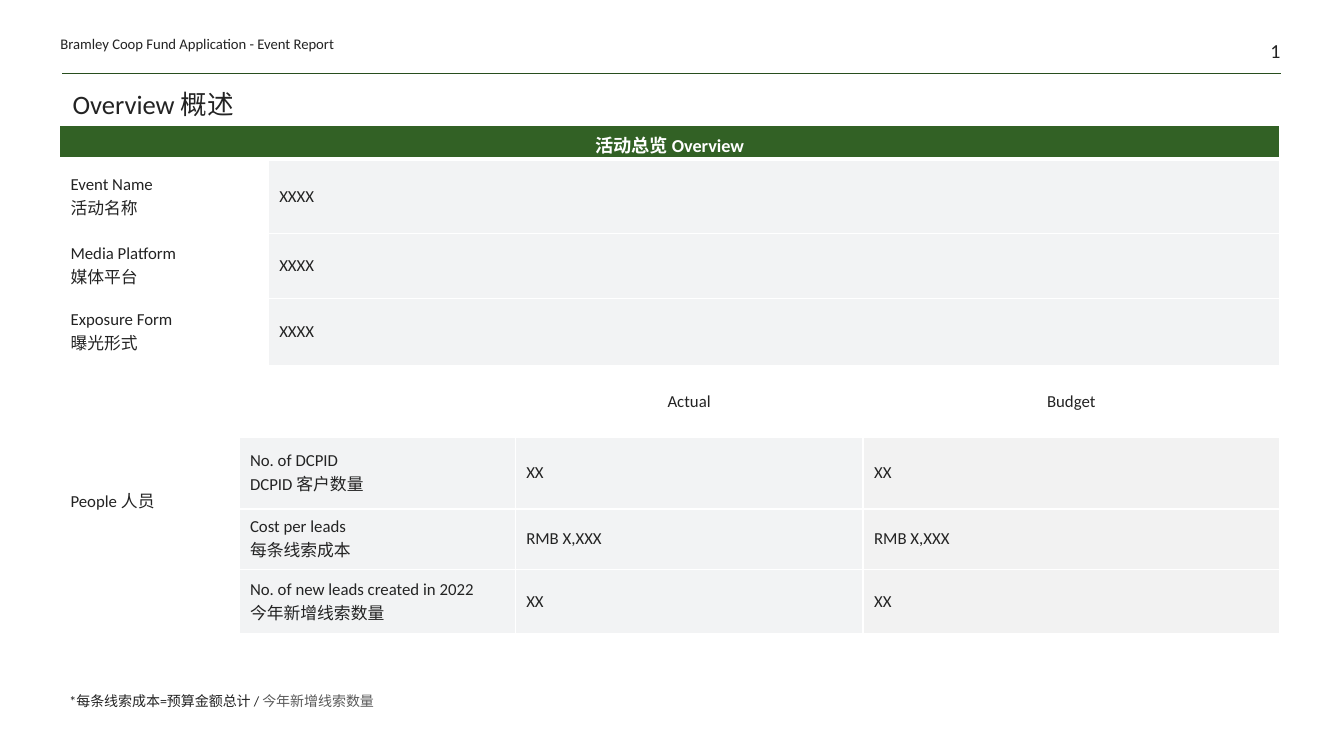
import pptx
import pptx.util
import pptx.dml.color
import pptx.enum.text
import pptx.enum.shapes
import pptx.oxml
import pptx.oxml.ns
import lxml.etree

Inches = pptx.util.Inches
Pt = pptx.util.Pt
ALIGN = pptx.enum.text.PP_ALIGN
ANCHOR = pptx.enum.text.MSO_ANCHOR
INK, GREY, WHITE = "232323", "5A5A5A", "FFFFFF"
GREEN, RULE, PALE, PALE_BUDGET = "326125", "284E1E", "F2F3F4", "F2F2F2"


def colour(value):
    return pptx.dml.color.RGBColor.from_string(value)


def add_span(para, text, size, ink=INK, bold=False):
    span = para.add_run()
    span.text = text
    span.font.name = "Calibri"
    span.font.size = Pt(size)
    span.font.bold = bold
    span.font.color.rgb = colour(ink)


def add_text(page, box, spans, size, align=ALIGN.LEFT, anchor=ANCHOR.BOTTOM, inset=(0, 0)):
    frame = page.shapes.add_textbox(*map(Inches, box)).text_frame
    frame.word_wrap = True
    frame.vertical_anchor = anchor
    frame.margin_left = frame.margin_right = Inches(inset[0])
    frame.margin_top = frame.margin_bottom = Inches(inset[1])
    para = frame.paragraphs[0]
    para.alignment = align
    for text, ink in spans:
        add_span(para, text, size, ink)


def add_header(page, box):
    left, top, width, height = box
    right, bottom = left + width, top + height
    add_text(page, (left, top + 0.29, 4.17, 0.23),
             [("Bramley Coop Fund Application - Event Report", INK)], 10.5)
    add_text(page, (right - 0.84, top, 0.83, 0.62), [("1", INK)], 14.2, ALIGN.RIGHT)
    rule = page.shapes.add_connector(
        pptx.enum.shapes.MSO_CONNECTOR.STRAIGHT,
        Inches(left + 0.02), Inches(bottom), Inches(right), Inches(bottom))
    rule.line.color.rgb = colour(RULE)
    rule.line.width = Pt(0.5)
    lxml.etree.SubElement(rule._element.spPr, pptx.oxml.ns.qn("a:effectLst"))


def add_title(page, box):
    title = page.shapes.title
    title.left, title.top, title.width, title.height = map(Inches, box)
    frame = title.text_frame
    frame.vertical_anchor = ANCHOR.BOTTOM
    para = frame.paragraphs[0]
    para.alignment = ALIGN.LEFT
    para.line_spacing = 0.85
    add_span(para, "Overview 概述", 19)


def add_borders(cell, bottom_width):
    properties = cell._tc.get_or_add_tcPr()
    widths = {"lnL": 1, "lnR": 1, "lnT": 1, "lnB": bottom_width}
    for position, (side, width) in enumerate(widths.items()):
        properties.insert(position, pptx.oxml.parse_xml(
            f'<a:{side} {pptx.oxml.ns.nsdecls("a")} w="{Pt(width)}"><a:solidFill>'
            f'<a:srgbClr val="{WHITE}"/></a:solidFill></a:{side}>'))


def fill_cell(cell, lines, fill=WHITE, align=ALIGN.LEFT, size=12, ink=INK, bold=False):
    cell.fill.solid()
    cell.fill.fore_color.rgb = colour(fill)
    frame = cell.text_frame
    for index, line in enumerate(lines):
        para = frame.add_paragraph() if index else frame.paragraphs[0]
        para.alignment = align
        add_span(para, line, size, ink, bold)


def add_overview(page, box):
    widths = [1.78, 0.29, 2.45, 3.45, 4.13]
    heights = [0.34, 0.74, 0.64, 0.67, 0.71, 0.71, 0.6, 0.64]
    table = page.shapes.add_table(len(heights), len(widths), *map(Inches, box)).table
    table.first_row = table.horz_banding = False
    for column, width in zip(table.columns, widths):
        column.width = Inches(width)
    for index, height in enumerate(heights):
        table.rows[index].height = Inches(height)
        for cell in table.rows[index].cells:
            cell.margin_left = cell.margin_right = Inches(0.11)
            cell.margin_top = cell.margin_bottom = Inches(0.06)
            cell.vertical_anchor = ANCHOR.MIDDLE
            cell.fill.background()
            add_borders(cell, 1 if index else 3)

    table.cell(0, 0).merge(table.cell(0, 4))
    fill_cell(table.cell(0, 0), ["活动总览 Overview"], GREEN, ALIGN.CENTER, 13, WHITE, True)

    details = [("Event Name ", "活动名称"), ("Media Platform ", "媒体平台"),
               ("Exposure Form ", "曝光形式")]
    for row, label in enumerate(details, 1):
        table.cell(row, 0).merge(table.cell(row, 1))
        table.cell(row, 2).merge(table.cell(row, 4))
        fill_cell(table.cell(row, 0), label)
        fill_cell(table.cell(row, 2), ["XXXX"], PALE)

    table.cell(4, 0).merge(table.cell(7, 0))
    fill_cell(table.cell(4, 0), ["People 人员"])
    table.cell(4, 1).merge(table.cell(4, 2))
    for column, heading in enumerate(["Actual", "Budget"], 3):
        fill_cell(table.cell(4, column), [heading], align=ALIGN.CENTER)

    measures = [(("No. of DCPID", "DCPID 客户数量"), "XX"),
                (("Cost per leads", "每条线索成本"), "RMB X,XXX"),
                (("No. of new leads created in 2022", "今年新增线索数量"), "XX")]
    for row, (label, value) in enumerate(measures, 5):
        table.cell(row, 1).merge(table.cell(row, 2))
        fill_cell(table.cell(row, 1), label, PALE)
        fill_cell(table.cell(row, 3), [value], PALE)
        fill_cell(table.cell(row, 4), [value], PALE_BUDGET)


def add_footnote(page, box):
    add_text(page, box, [("*每条线索成本=预算金额总计 / ", INK), ("今年新增线索数量", GREY)],
             10, anchor=ANCHOR.TOP, inset=(0.1, 0.05))


deck = pptx.Presentation()
deck.slide_width, deck.slide_height = Inches(13.33), Inches(7.5)
page = deck.slides.add_slide(deck.slide_layouts[5])
add_header(page, (0.6, 0, 12.11, 0.73))
add_title(page, (0.62, 0.84, 12.09, 0.4))
add_overview(page, (0.59, 1.24, 12.1, 5.05))
add_footnote(page, (0.59, 6.82, 5.6, 0.27))
deck.save("out.pptx")
